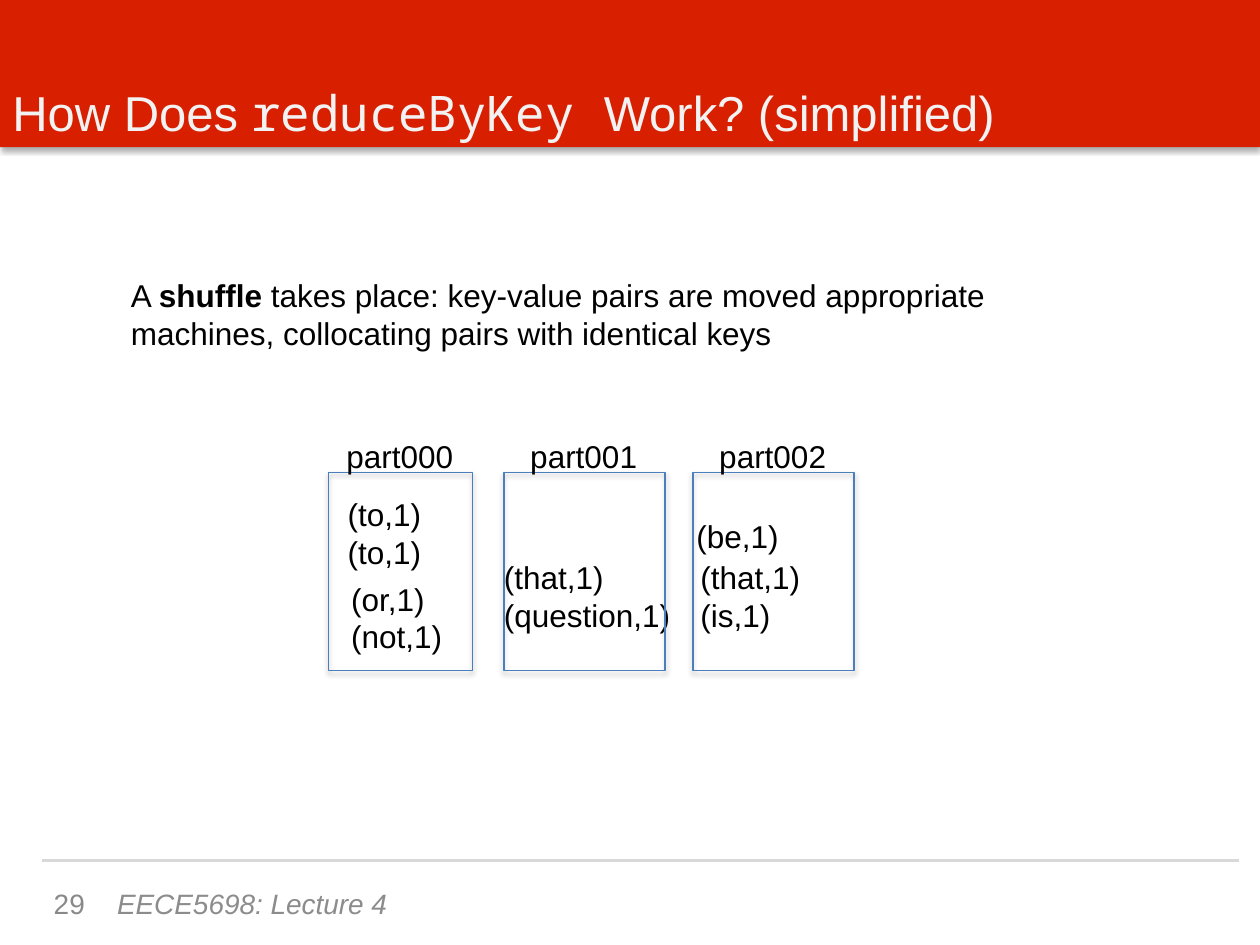
from dataclasses import dataclass

from lxml import etree
from pptx import Presentation
from pptx.dml.color import RGBColor
from pptx.enum.shapes import MSO_CONNECTOR, MSO_SHAPE
from pptx.enum.text import MSO_ANCHOR, MSO_AUTO_SIZE, PP_ALIGN
from pptx.oxml import parse_xml
from pptx.oxml.ns import nsdecls, qn
from pptx.util import Cm, Pt

STRAIGHT = MSO_CONNECTOR.STRAIGHT
RECTANGLE = MSO_SHAPE.RECTANGLE
BOTTOM, MIDDLE, TOP = MSO_ANCHOR.BOTTOM, MSO_ANCHOR.MIDDLE, MSO_ANCHOR.TOP
FIT_TEXT, NO_FIT = MSO_AUTO_SIZE.SHAPE_TO_FIT_TEXT, MSO_AUTO_SIZE.NONE
LEFT, RIGHT = PP_ALIGN.LEFT, PP_ALIGN.RIGHT


@dataclass(frozen=True)
class Theme:
    banner: str = "D81F00"
    title: str = "F2F2F2"
    text: str = "000000"
    footer: str = "8C8C8C"
    number: str = "898989"
    rule: str = "D9D9D9"
    outline: str = "4B7EBC"
    font: str = "Arial"
    code_font: str = "Noto Sans Mono"
    title_size: int = 28
    body_size: int = 18
    footer_size: int = 16


THEME = Theme()
LINE_HEIGHT, PADDING = 0.76, 0.26

# Partition name, left, width, and groups of pairs as (dx, dy, width, lines)
PARTITIONS = [
    ("part000", 6.63, 2.9, [(0.13, 0.33, 2.01, ["(to,1)", "(to,1)"]),
                            (0.2, 2.03, 2.36, ["(or,1)", "(not,1)"])]),
    ("part001", 10.16, 3.25, [(-0.25, 1.6, 3.89, ["(that,1)", "(question,1)"])]),
    ("part002", 13.97, 3.25, [(-0.18, 0.76, 2.18, ["(be,1)"]),
                              (-0.1, 1.6, 2.54, ["(that,1)", "(is,1)"])]),
]


def add_text(page, box, lines, size=THEME.body_size, color=THEME.text,
             anchor=TOP, align=LEFT, wrap=True, fit=NO_FIT):
    """Each line is a string or a list of (text, run font settings)."""
    frame = page.shapes.add_textbox(*map(Cm, box)).text_frame
    frame.word_wrap = wrap
    frame.auto_size = fit
    frame.vertical_anchor = anchor
    for index, line in enumerate(lines):
        para = frame.add_paragraph() if index else frame.paragraphs[0]
        para.alignment = align
        para.font.name = THEME.font
        para.font.size = Pt(size)
        para.font.color.rgb = RGBColor.from_string(color)
        for text, settings in [(line, {})] if isinstance(line, str) else line:
            span = para.add_run()
            span.text = text
            for name, value in settings.items():
                setattr(span.font, name, value)
    return frame


def add_shadowed_box(page, box):
    shape = page.shapes.add_shape(RECTANGLE, *map(Cm, box))
    shape._element.spPr.append(parse_xml(
        f'<a:effectLst {nsdecls("a")}>'
        f'<a:outerShdw blurRad="{Pt(3.1)}" dist="{Pt(1.8)}" dir="5400000" rotWithShape="0">'
        '<a:srgbClr val="000000"><a:alpha val="35000"/></a:srgbClr>'
        '</a:outerShdw></a:effectLst>'))
    return shape


def add_banner(page, box):
    banner = add_shadowed_box(page, box)
    banner.fill.solid()
    banner.fill.fore_color.rgb = RGBColor.from_string(THEME.banner)
    banner.line.fill.background()
    title = [("How Does ", {}), ("reduceByKey ", {"name": THEME.code_font}),
             ("Work? (simplified)", {})]
    add_text(page, box, [title], THEME.title_size, THEME.title, BOTTOM)


def add_partition(page, box, name, groups):
    left, top, width, height = box
    # Pairs held by the partition
    for dx, dy, group_width, lines in groups:
        group_height = len(lines) * LINE_HEIGHT + PADDING
        add_text(page, (left + dx, top + dy, group_width, group_height), lines,
                 wrap=False, fit=FIT_TEXT)
    # Outline
    outline = add_shadowed_box(page, box)
    outline.fill.background()
    outline.line.color.rgb = RGBColor.from_string(THEME.outline)
    outline.line.width = Pt(0.75)
    # Name centred above the outline
    label_width = 2.69
    add_text(page, (left + (width - label_width) / 2, top - 0.84, label_width, 1.02),
             [name], wrap=False, fit=FIT_TEXT)


def add_footer(page, box):
    left, top, width, height = box
    # Rule
    rule = page.shapes.add_connector(STRAIGHT, Cm(left), Cm(top), Cm(left + width), Cm(top))
    rule.line.color.rgb = RGBColor.from_string(THEME.rule)
    rule.line.width = Pt(2)
    etree.SubElement(rule._element.spPr, qn("a:effectLst"))
    # Course and page number
    text_top, text_height = top + 0.35, height - 0.35
    add_text(page, (left + 1.27, text_top, 15.29, text_height),
             [[("EECE5698: Lecture 4", {"italic": True})]],
             THEME.footer_size, THEME.footer, MIDDLE)
    add_text(page, (left - 0.15, text_top, 1.27, text_height), ["29"],
             THEME.footer_size, THEME.number, MIDDLE, RIGHT)


def main():
    deck = Presentation()
    deck.slide_width, deck.slide_height = Cm(25.4), Cm(19.05)
    page = deck.slides.add_slide(deck.slide_layouts[6])

    add_banner(page, (0, 0, 25.4, 2.97))
    explanation = [
        ("A ", {}), ("shuffle", {"bold": True}),
        (" takes place: key-value pairs are moved appropriate machines, "
         "collocating pairs with identical keys", {})]
    add_text(page, (2.39, 5.44, 18.57, 1.8), [explanation], fit=FIT_TEXT)
    for name, left, width, groups in PARTITIONS:
        add_partition(page, (left, 9.53, width, 3.99), name, groups)
    add_footer(page, (0.84, 17.35, 24.13, 1.37))

    deck.save("out.pptx")


if __name__ == "__main__":
    main()
